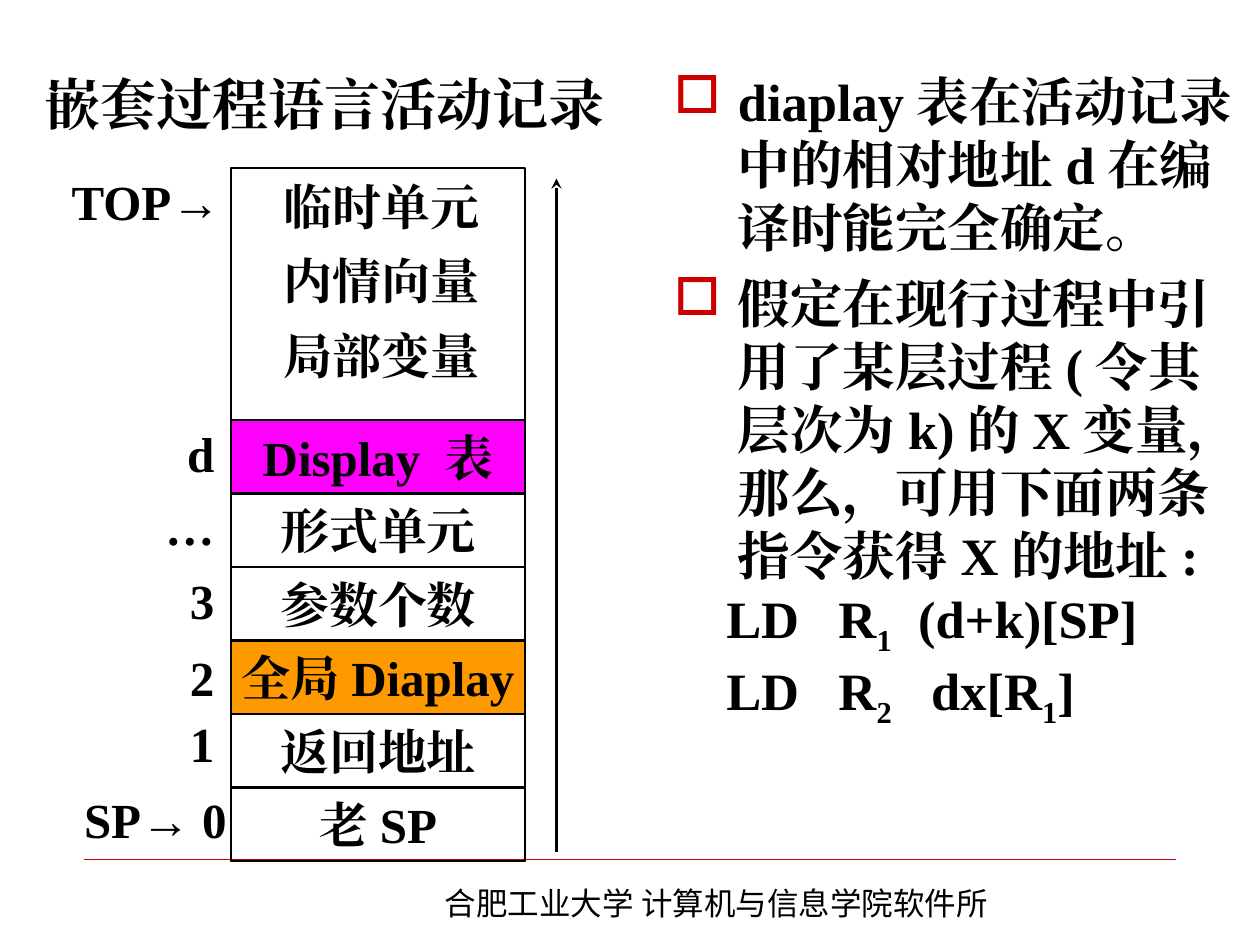
from dataclasses import dataclass

from lxml import etree
from pptx import Presentation
from pptx.dml.color import RGBColor
from pptx.enum.shapes import MSO_CONNECTOR, MSO_SHAPE
from pptx.enum.text import MSO_ANCHOR, MSO_AUTO_SIZE, PP_ALIGN
from pptx.oxml.ns import qn
from pptx.util import Emu, Pt

TITLE_ONLY = 5
EMU_PER_PX = 7620  # 120 px to the inch
LEFT, CENTER, RIGHT = PP_ALIGN.LEFT, PP_ALIGN.CENTER, PP_ALIGN.RIGHT
TOP, MIDDLE = MSO_ANCHOR.TOP, MSO_ANCHOR.MIDDLE
RECTANGLE = MSO_SHAPE.RECTANGLE
STRAIGHT = MSO_CONNECTOR.STRAIGHT


@dataclass(frozen=True)
class Theme:
    ink: str = "000000"
    accent: str = "CC0000"
    display: str = "FF00FF"
    global_display: str = "FF9900"
    serif: str = "Times New Roman"
    arrow: str = "Arial"
    footer: str = "Noto Sans CJK SC"
    title_size: int = 32
    body_size: int = 30
    record_size: int = 28
    footer_size: int = 18
    body_gap: float = 7.5
    stroke: float = 1.5
    hairline: float = 0.25


def px(length):
    return Emu(length * EMU_PER_PX)


class SlideBuilder:
    def __init__(self, page, theme):
        self.page = page
        self.theme = theme

    def style(self, span, size, face=None, bold=True):
        font = span.font
        font.size, font.bold = Pt(size), bold
        font.name = face or self.theme.serif
        font.color.rgb = RGBColor.from_string(self.theme.ink)
        east_asian = etree.SubElement(span._r.get_or_add_rPr(), qn("a:ea"))
        east_asian.set("typeface", font.name)

    def frame(self, box, align, anchor, wrap):
        text_frame = box.text_frame
        text_frame.auto_size = MSO_AUTO_SIZE.NONE
        text_frame.word_wrap = wrap
        text_frame.vertical_anchor = anchor
        text_frame.paragraphs[0].alignment = align
        return text_frame

    def title(self, text, left, top, width, height):
        box = self.page.shapes.title
        box.left, box.top, box.width, box.height = map(px, (left, top, width, height))
        para = self.frame(box, LEFT, TOP, True).paragraphs[0]
        para.text = text
        self.style(para.runs[0], self.theme.title_size)

    def textbox(self, left, top, width, height):
        return self.page.shapes.add_textbox(*map(px, (left, top, width, height)))

    def label(self, spans, left, top, width, height, align=CENTER):
        """One unwrapped line; every second span is set in the arrow face."""
        box = self.textbox(left, top, width, height)
        para = self.frame(box, align, MIDDLE, False).paragraphs[0]
        for index, text in enumerate(spans):
            span = para.add_run()
            span.text = text
            self.style(span, self.theme.record_size, self.theme.arrow if index % 2 else None)

    def footer(self, text, left, top, width, height):
        para = self.frame(self.textbox(left, top, width, height), LEFT, TOP, True).paragraphs[0]
        para.text = text
        self.style(para.runs[0], self.theme.footer_size, self.theme.footer, bold=False)

    def cell(self, text, left, top, width, height, fill=None):
        box = self.page.shapes.add_shape(RECTANGLE, *map(px, (left, top, width, height)))
        box.shadow.inherit = False
        if fill:
            box.fill.solid()
            box.fill.fore_color.rgb = RGBColor.from_string(fill)
        else:
            box.fill.background()
        box.line.color.rgb = RGBColor.from_string(self.theme.ink)
        box.line.width = Pt(self.theme.stroke)
        if text:
            para = self.frame(box, CENTER, MIDDLE, False).paragraphs[0]
            para.text = text
            self.style(para.runs[0], self.theme.record_size)

    def line(self, start, end, color, weight, arrow=False):
        line = self.page.shapes.add_connector(STRAIGHT, *map(px, (*start, *end)))
        line.line.color.rgb = RGBColor.from_string(color)
        line.line.width = Pt(weight)
        if arrow:
            tail = etree.SubElement(line.line._get_or_add_ln(), qn("a:tailEnd"))
            tail.set("type", "stealth")
        etree.SubElement(line._element.spPr, qn("a:effectLst"))

    def bullet(self, para):
        properties = para._p.get_or_add_pPr()
        properties.set("marL", str(px(61)))
        properties.set("indent", str(px(-61)))
        color = etree.SubElement(properties, qn("a:buClr"))
        etree.SubElement(color, qn("a:srgbClr")).set("val", self.theme.accent)
        etree.SubElement(properties, qn("a:buChar")).set("char", "□")

    def body(self, points, code, left, top, width, height):
        """Bulleted points, then code lines whose every second span is a subscript."""
        text_frame = self.frame(self.textbox(left, top, width, height), LEFT, TOP, True)
        for index, text in enumerate(points):
            para = text_frame.add_paragraph() if index else text_frame.paragraphs[0]
            self.bullet(para)
            if index:
                para.space_before = Pt(self.theme.body_gap)
            para.add_run().text = text
            self.style(para.runs[0], self.theme.body_size)
        for spans in code:
            para = text_frame.add_paragraph()
            for index, text in enumerate(spans):
                span = para.add_run()
                span.text = text
                self.style(span, self.theme.body_size)
                if index % 2:
                    span._r.get_or_add_rPr().set("baseline", "-25000")


def main():
    theme = Theme()
    deck = Presentation()
    deck.slide_width, deck.slide_height = px(1200), px(900)
    page = deck.slides.add_slide(deck.slide_layouts[TITLE_ONLY])
    builder = SlideBuilder(page, theme)

    # Footer rule and text
    builder.line((80, 818), (1120, 818), theme.accent, theme.hairline)
    builder.footer("合肥工业大学 计算机与信息学院软件所", 412, 836, 586, 48)

    # Title and explanation
    builder.title("嵌套过程语言活动记录", 30, 60, 610, 100)
    points = [
        "diaplay表在活动记录中的相对地址d在编译时能完全确定。",
        "假定在现行过程中引用了某层过程(令其层次为k)的X变量，那么，可用下面两条指令获得X的地址:",
    ]
    code = [
        ("    LD   R", "1", "  (d+k)[SP]"),
        ("    LD   R", "2", "   dx[R", "1", "]"),
    ]
    builder.body(points, code, 630, 60, 570, 790)

    # Activation record: frame, upper area, then one cell per row
    record_left, record_top, record_width = 220, 160, 280
    rows_top, row_height, label_height = 400, 70, 62
    builder.cell("", record_left, record_top, record_width, 660)
    for index, text in enumerate(("临时单元", "内情向量", "局部变量")):
        builder.label([text], record_left, record_top + 71 * index, 287, 72)

    rows = [  # text, fill, offset label, label shift
        ("Display 表", theme.display, "d", 0),
        ("形式单元", None, "…", 0),
        ("参数个数", None, "3", 0),
        ("全局Diaplay", theme.global_display, "2", 4),
        ("返回地址", None, "1", -3),
        ("老SP", None, None, 0),
    ]
    for index, (text, fill, offset, shift) in enumerate(rows):
        top = rows_top + row_height * index
        builder.cell(text, record_left, top, record_width, row_height, fill)
        if offset:
            builder.label([offset], 140, top + shift, 76, label_height, RIGHT)

    # Stack pointers and growth direction
    builder.label(["TOP", "→ "], 100, record_top, 91, label_height)
    builder.label(["SP", "→", " 0"], 110, 749, 76, label_height)
    builder.line((530, 811), (530, 170), theme.ink, theme.stroke, arrow=True)

    deck.save("out.pptx")


if __name__ == "__main__":
    main()
